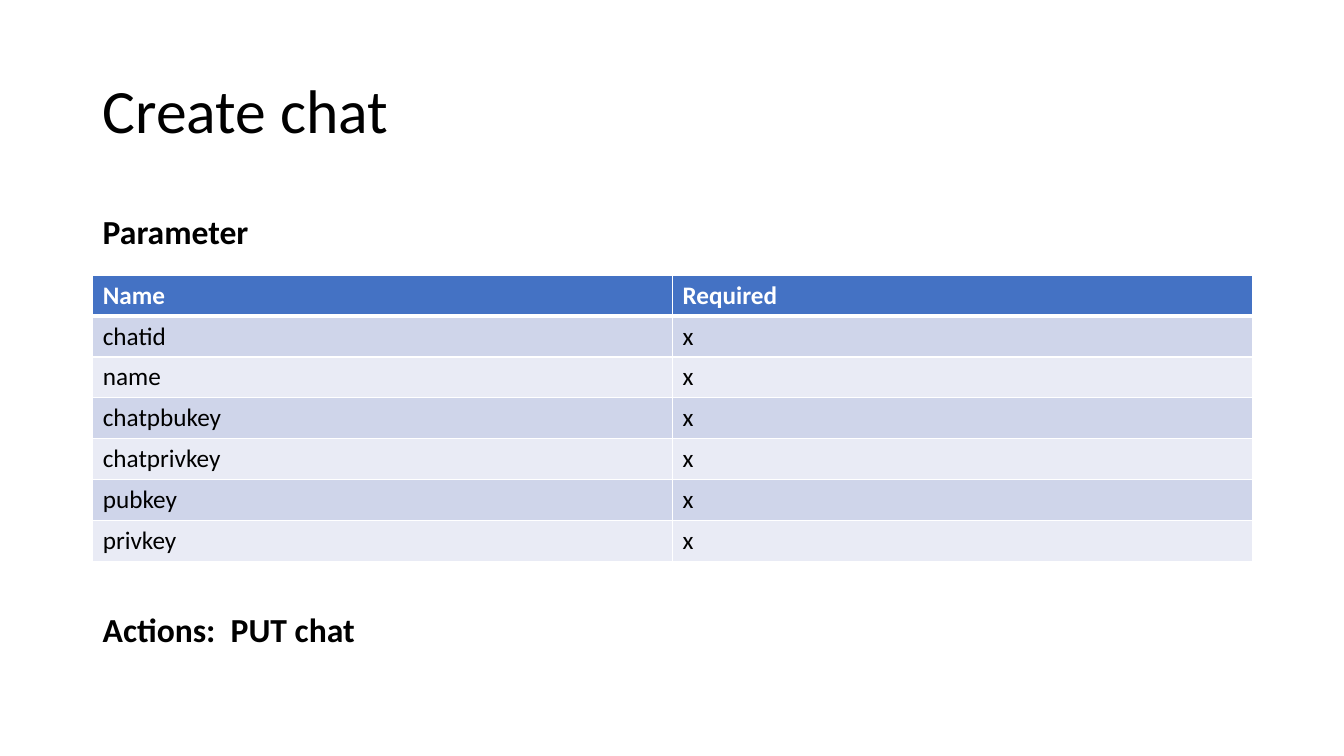
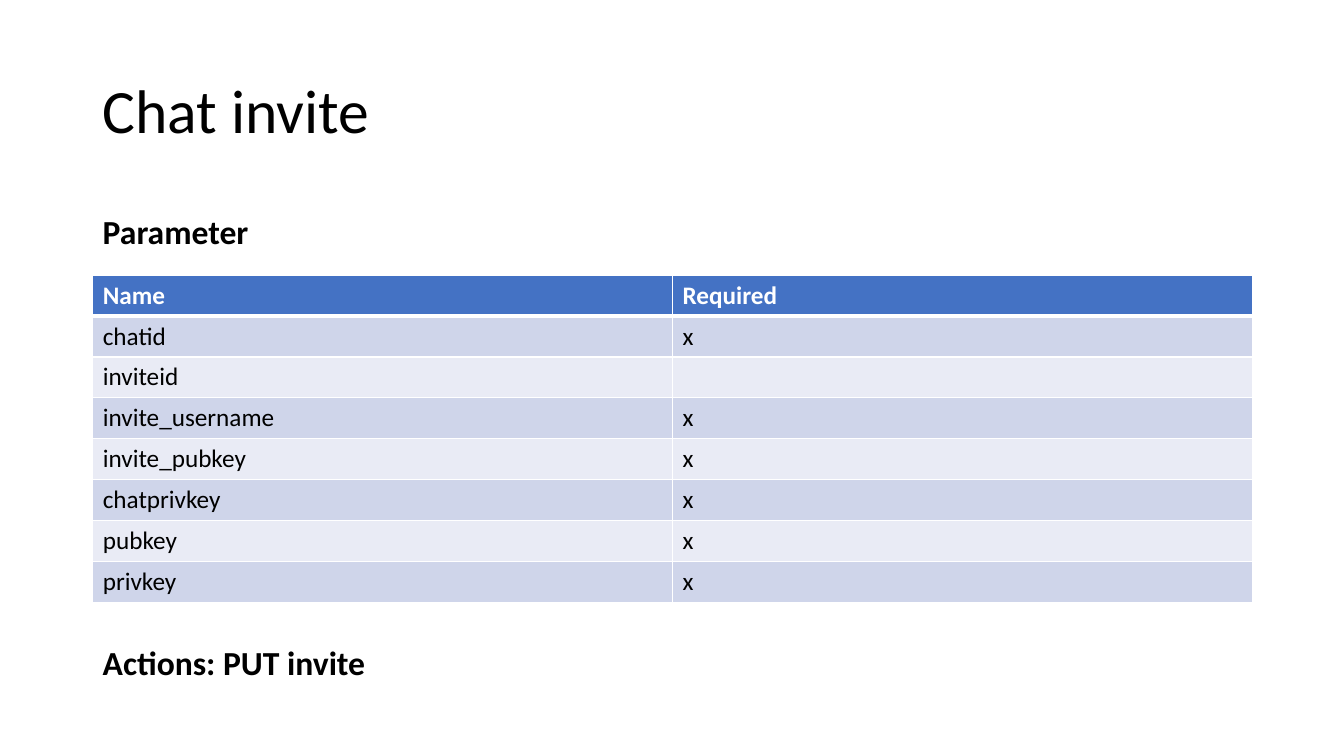
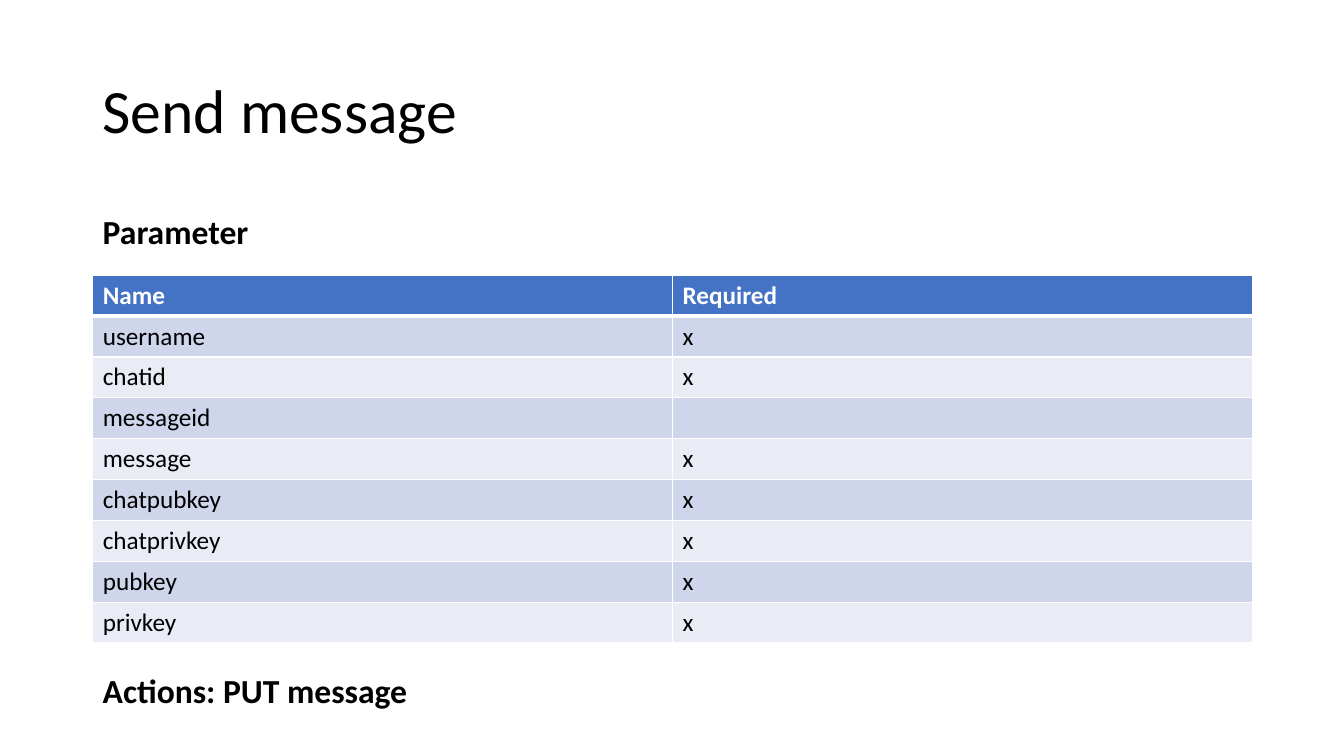
from lxml import etree
from pptx import Presentation
from pptx import util as u
from pptx.dml.color import RGBColor
from pptx.enum import text
from pptx.oxml import ns

WIDTH, HEIGHT = u.Inches(13.33), u.Inches(7.5)
LEFT, SPAN = u.Inches(0.92), u.Inches(11.5)
ROW = u.Pt(29.2)
LABEL_HEIGHT = u.Inches(0.5)
BLACK, WHITE, BLUE = "000000", "FFFFFF", "4472C4"
BANDS = ("CFD5EA", "E9EBF5")

# Shared text formats
TITLE = {"size": u.Pt(44), "bold": False, "name": "Calibri"}
LABEL = {"size": u.Pt(24), "bold": True, "name": "Calibri"}
HEADER = {"size": u.Pt(18), "bold": True, "name": "Calibri"}
ENTRY = {**HEADER, "bold": False}


def color(value):
    return RGBColor.from_string(value)


def write(para, words, style, ink=BLACK):
    span = para.add_run()
    span.text = words
    for key, value in style.items():
        setattr(span.font, key, value)
    span.font.color.rgb = color(ink)


def add_text(page, place, words, style, **frame_format):
    box = page.shapes.add_textbox(*place)
    frame = box.text_frame
    for key, value in {"word_wrap": True, **frame_format}.items():
        setattr(frame, key, value)
    write(frame.paragraphs[0], words, style)
    return frame.paragraphs[0]


def add_title(page, place, words):
    para = add_text(page, place, words, TITLE,
                    vertical_anchor=text.MSO_ANCHOR.MIDDLE)
    para.line_spacing = 0.9


def set_borders(cell, widths):
    properties = cell._tc.get_or_add_tcPr()
    for side, points in widths.items():
        line = etree.SubElement(properties, ns.qn(f"a:ln{side}"), w=str(u.Pt(points)))
        fill = etree.SubElement(line, ns.qn("a:solidFill"))
        etree.SubElement(fill, ns.qn("a:srgbClr"), val=WHITE)


def fill_cell(cell, words, row):
    # A thick rule parts the header from the entries
    set_borders(cell, {"L": 1, "R": 1, "T": 3 if row == 1 else 1,
                       "B": 3 if row == 0 else 1})
    cell.fill.solid()
    cell.fill.fore_color.rgb = color(BANDS[(row - 1) % 2] if row else BLUE)
    if words:
        style, ink = (ENTRY, BLACK) if row else (HEADER, WHITE)
        write(cell.text_frame.paragraphs[0], words, style, ink)


def add_parameters(page, left, top, width, names, optional):
    rows = [("Name", "Required")]
    rows += [(name, "" if name in optional else "x") for name in names]
    table = page.shapes.add_table(len(rows), 2, left, top, width, ROW * len(rows)).table
    for row, entries in enumerate(rows):
        table.rows[row].height = ROW
        for column, words in enumerate(entries):
            fill_cell(table.cell(row, column), words, row)


def add_call(deck, title, names, optional, action, action_top, action_width=3.45):
    page = deck.slides.add_slide(deck.slide_layouts[6])
    add_title(page, (LEFT, u.Inches(0.4), SPAN, u.Inches(1.45)), title)
    add_parameters(page, LEFT, u.Inches(2.73), SPAN, names.split(), optional)
    # Labels above and below the table
    for words, top, width in (("Parameter", 2.04, 3.45),
                              (action, action_top, action_width)):
        add_text(page, (LEFT, u.Inches(top), u.Inches(width), LABEL_HEIGHT),
                 words, LABEL)


deck = Presentation()
deck.slide_width, deck.slide_height = WIDTH, HEIGHT

add_call(deck, "Create chat",
         "chatid name chatpbukey chatprivkey pubkey privkey", (),
         "Actions:  PUT chat", 5.99, 5.15)
add_call(deck, "Chat invite",
         "chatid inviteid invite_username invite_pubkey chatprivkey pubkey privkey",
         ("inviteid",), "Actions: PUT invite", 6.32)
add_call(deck, "Send message",
         "username chatid messageid message chatpubkey chatprivkey pubkey privkey",
         ("messageid",), "Actions: PUT message", 6.6)

deck.save("out.pptx")
